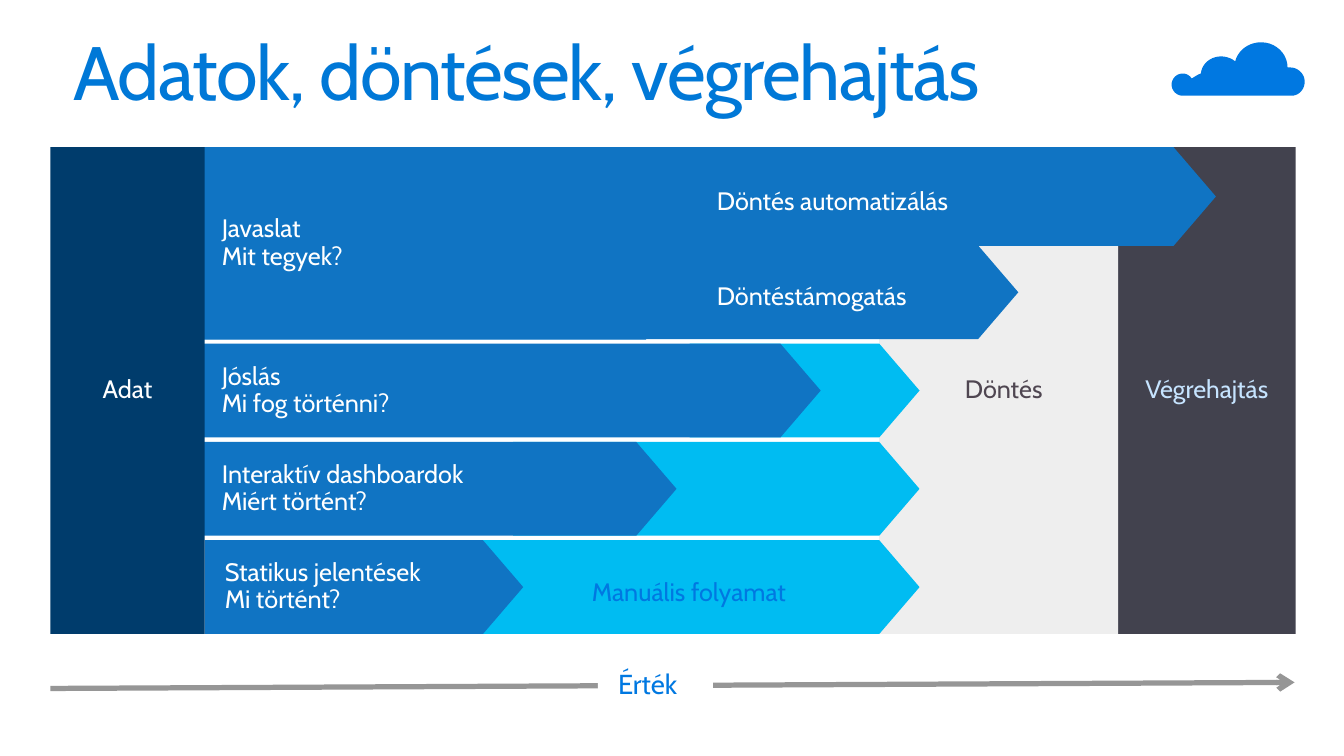
from lxml import etree
from pptx import Presentation, util as u
from pptx.dml.color import RGBColor
from pptx.enum import shapes, text
from pptx.oxml.ns import qn

BLUE, CYAN, WHITE, ACCENT = "1074C3", "00BCF2", "FFFFFF", "0078E1"
TOP, PITCH, ROW = 1.46, 0.975, 0.93
FLOW_LEFT, FLOW_END = 2, 9.12
RECT, ARROW = shapes.MSO_SHAPE.RECTANGLE, shapes.MSO_SHAPE.PENTAGON
LEFT, CENTER = text.PP_ALIGN.LEFT, text.PP_ALIGN.CENTER


def color(hex_value):
    return RGBColor.from_string(hex_value)


def row_top(row):
    return TOP + PITCH * row


def curve_points(start, curves, steps=10):
    """Turn cubic curves into a list of points."""
    points = [start]
    for x1, y1, x2, y2, x3, y3 in curves:
        x0, y0 = points[-1]
        for step in range(1, steps + 1):
            t = step / steps
            s = 1 - t
            weights = (s ** 3, 3 * s * s * t, 3 * s * t * t, t ** 3)
            points.append((sum(w * x for w, x in zip(weights, (x0, x1, x2, x3))),
                           sum(w * y for w, y in zip(weights, (y0, y1, y2, y3)))))
    return points


class SlideBuilder:
    font = "Cabin"

    def __init__(self, page):
        self.page = page

    def paint(self, shape, fill):
        shape.shadow.inherit = False
        shape.fill.solid()
        shape.fill.fore_color.rgb = color(fill)
        shape.line.fill.background()

    def set_text(self, shape, lines, ink, size=18, align=LEFT, anchor=text.MSO_ANCHOR.MIDDLE,
                 inset=(0.2, 0.16), wrap=True):
        frame = shape.text_frame
        frame.auto_size = text.MSO_AUTO_SIZE.NONE
        frame.word_wrap = wrap
        frame.vertical_anchor = anchor
        frame.margin_left = frame.margin_right = u.Inches(inset[0])
        frame.margin_top = frame.margin_bottom = u.Inches(inset[1])
        frame.text = "\n".join(lines)
        for para in frame.paragraphs:
            para.alignment = align
            para.line_spacing = 0.9
            para.space_before = u.Pt(0)
            para.font.name = self.font
            para.font.size = u.Pt(size)
            para.font.color.rgb = color(ink)
        return frame

    def title(self, words, left, top, width, height):
        box = self.page.shapes.title
        box.left, box.top = u.Inches(left), u.Inches(top)
        box.width, box.height = u.Inches(width), u.Inches(height)
        frame = self.set_text(box, [words], "0078D7", 54,
                              anchor=text.MSO_ANCHOR.TOP, inset=(0.16, 0.1))
        span = frame.paragraphs[0].runs[0]
        span.font._element.set("spc", "-100")

    def block(self, kind, left, top, width, height, fill, lines=(), ink=WHITE, **style):
        shape = self.page.shapes.add_shape(
            kind, u.Inches(left), u.Inches(top), u.Inches(width), u.Inches(height))
        self.paint(shape, fill)
        if kind == ARROW:
            shape.adjustments[0] = 0.429
        if lines:
            self.set_text(shape, lines, ink, **style)
        return shape

    def label(self, words, left, top, width, height, ink=WHITE, wrap=False):
        box = self.page.shapes.add_textbox(
            u.Inches(left), u.Inches(top), u.Inches(width), u.Inches(height))
        self.set_text(box, [words], ink, anchor=text.MSO_ANCHOR.TOP, wrap=wrap)

    def arrow_line(self, start, end, ink, width):
        line = self.page.shapes.add_connector(
            shapes.MSO_CONNECTOR.STRAIGHT, *(u.Inches(value) for value in (*start, *end)))
        line.line.color.rgb = color(ink)
        line.line.width = u.Pt(width)
        etree.SubElement(line.line._get_or_add_ln(), qn("a:tailEnd"), type="arrow")
        etree.SubElement(line._element.spPr, qn("a:effectLst"))

    def outline(self, points, fill):
        spots = [(u.Inches(x), u.Inches(y)) for x, y in points]
        builder = self.page.shapes.build_freeform(*spots[0])
        builder.add_line_segments(spots[1:], close=True)
        self.paint(builder.convert_to_shape(), fill)


def main():
    deck = Presentation()
    deck.slide_width, deck.slide_height = u.Inches(13.33), u.Inches(7.5)
    slide = SlideBuilder(deck.slides.add_slide(deck.slide_layouts[5]))
    slide.title("Adatok, döntések, végrehajtás", 0.57, 0.25, 12.2, 0.82)

    # Cloud
    slide.outline(curve_points((12.8, 0.67), [
        (12.79, 0.67, 12.78, 0.67, 12.77, 0.67),
        (12.77, 0.53, 12.65, 0.42, 12.51, 0.42),
        (12.38, 0.42, 12.28, 0.5, 12.25, 0.61),
        (12.22, 0.58, 12.16, 0.56, 12.11, 0.56),
        (12.01, 0.56, 11.92, 0.63, 11.91, 0.73),
        (11.88, 0.74, 11.85, 0.76, 11.82, 0.78),
        (11.8, 0.75, 11.77, 0.73, 11.73, 0.73),
        (11.67, 0.73, 11.62, 0.78, 11.62, 0.84),
        (11.62, 0.9, 11.67, 0.95, 11.73, 0.95),
        (12.12, 0.95, 12.32, 0.95, 12.81, 0.95),
        (12.88, 0.95, 12.94, 0.89, 12.94, 0.81),
        (12.94, 0.73, 12.87, 0.67, 12.8, 0.67),
    ]), ACCENT)

    # Stage columns behind the arrows
    slide.block(RECT, 11.09, TOP, 1.76, 4.83, "42424E", ["Végrehajtás"], "C6E4FF", align=CENTER)
    decision = slide.block(RECT, 8.72, TOP, 2.37, 4.83, "EEEEEE", ["Döntés"], "4F4651", align=CENTER)
    decision.text_frame.margin_left = u.Inches(0.3)

    # Analysis rows: row, left, blue arrow width, start of the manual part, text
    for row, left, width, manual_left, lines in [
        (3, FLOW_LEFT, 4.71, 5.09, ["Interaktív dashboardok", "Miért történt?"]),
        (2, FLOW_LEFT, 6.14, 6.84, ["Jóslás", "Mi fog történni?"]),
        (4, 2.03, 3.16, 4.03, ["Statikus jelentések", "Mi történt?"]),
    ]:
        top = row_top(row)
        slide.block(ARROW, manual_left, top, FLOW_END - manual_left, ROW, CYAN)
        slide.block(ARROW, left, top, width, ROW, BLUE, lines)
    slide.label("Manuális folyamat", 5.67, 5.59, 3.61, 0.59, ACCENT, wrap=True)

    # Recommendation with its two arrows
    slide.block(ARROW, FLOW_LEFT, row_top(1), 8.1, ROW, BLUE)
    slide.block(ARROW, FLOW_LEFT, TOP, 10.06, 0.98, BLUE)
    slide.block(RECT, FLOW_LEFT, TOP, 4.41, 1.91, BLUE, ["Javaslat", "Mit tegyek?"])
    slide.label("Döntés automatizálás", 6.91, 1.71, 2.78, 0.59)
    slide.label("Döntéstámogatás", 6.91, 2.65, 2.36, 0.59)

    # Data column
    slide.block(RECT, 0.5, TOP, 1.53, 4.83, "003C6C", ["Adat"], align=CENTER)

    # Value axis
    slide.arrow_line((0.5, 6.83), (12.84, 6.77), "969696", 3.75)
    slide.block(RECT, 5.93, 6.49, 1.14, 0.61, WHITE, ["Érték"], ACCENT,
                size=19.6, anchor=text.MSO_ANCHOR.TOP)

    deck.save("out.pptx")


if __name__ == "__main__":
    main()
